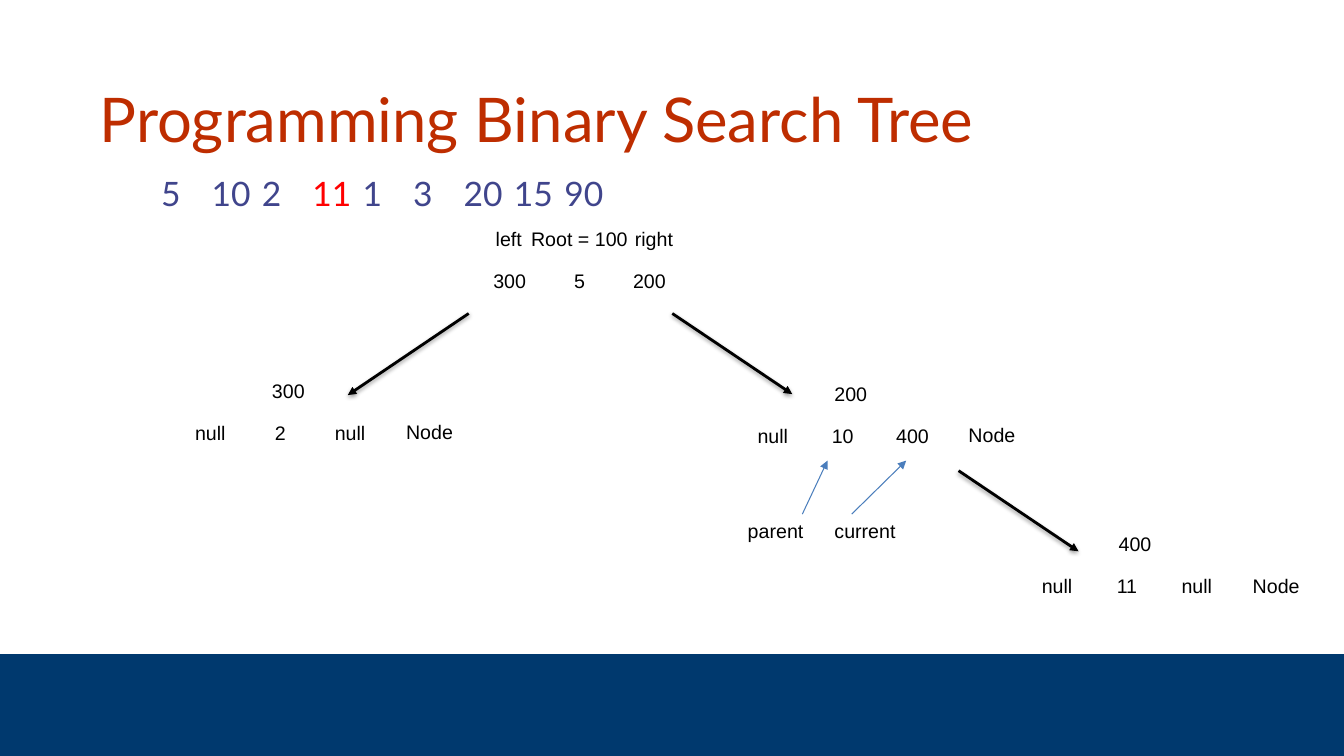
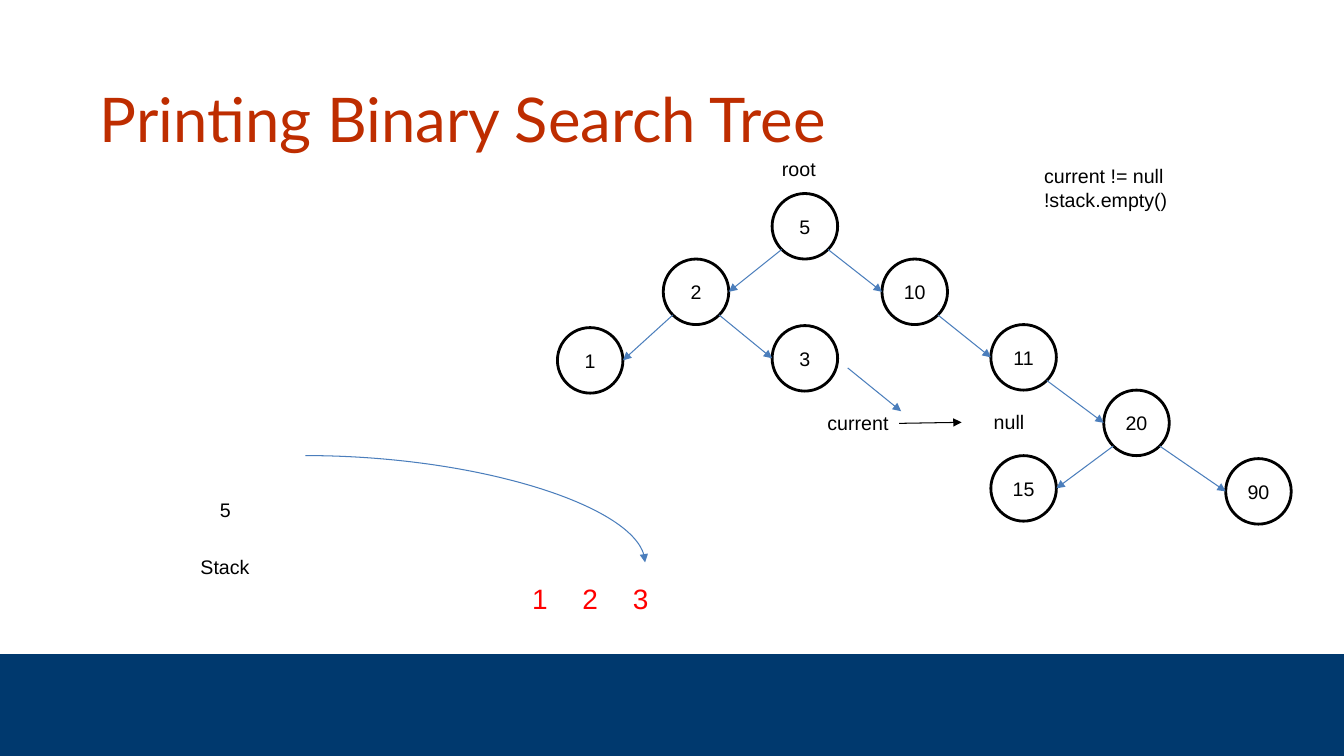
import dataclasses
import math

import lxml.etree
import pptx
import pptx.dml.color
import pptx.enum.shapes
import pptx.enum.text
import pptx.oxml
import pptx.oxml.ns
import pptx.shapes.autoshape
import pptx.shapes.connector
import pptx.slide
import pptx.text.text
import pptx.util

RGB = pptx.dml.color.RGBColor
Anchor = pptx.enum.text.MSO_ANCHOR
Align = pptx.enum.text.PP_ALIGN
Connector = pptx.enum.shapes.MSO_CONNECTOR
Preset = pptx.enum.shapes.MSO_SHAPE
Point = tuple[float, float]

GRID_COLUMNS, GRID_ROWS = 40, 22.5
SLIDE_WIDTH, SLIDE_HEIGHT = pptx.util.Emu(12192000), pptx.util.Emu(6858000)
BAND_TOP = 19.47

WHITE = RGB(0xFF, 0xFF, 0xFF)
BLACK = RGB(0x00, 0x00, 0x00)
RED = RGB(0xFF, 0x00, 0x00)
NAVY = RGB(0x00, 0x39, 0x6E)
RUST = RGB(0xBE, 0x2D, 0x00)
INDIGO = RGB(0x40, 0x45, 0x8C)
BLUE = RGB(0x4B, 0x7E, 0xBC)

HEADING_FONT, BODY_FONT = "Lato", "Arial"
BODY_SIZE = 14
THIN, THICK = 0.75, 2
CIRCLE = 1.95
CELL_WIDTH, CELL_HEIGHT = 2.08, 1.04


@dataclasses.dataclass(frozen=True)
class Label:
    text: str
    column: float
    row: float
    columns: float
    rows: float = 1.02
    size: float = BODY_SIZE
    color: RGB = BLACK


@dataclasses.dataclass(frozen=True)
class Arrow:
    start: Point
    end: Point
    color: RGB = BLUE
    weight: float = THIN
    shadow: bool = False
    curved: bool = False


@dataclasses.dataclass(frozen=True)
class Record:
    address: str
    column: float
    row: float
    fields: tuple[str, str, str]


@dataclasses.dataclass(frozen=True)
class TreeNode:
    value: int
    column: float
    row: float
    parent: int | None = None

    @property
    def center(self) -> Point:
        return self.column + CIRCLE / 2, self.row + CIRCLE / 2


SEQUENCE = (("\t5\t10\t2\t", INDIGO), ("11", RED), ("\t1\t3\t20\t15\t90", INDIGO))

RECORDS = (
    Record("300", 5.22, 12.39, ("null", "2", "null")),
    Record("200", 21.96, 12.48, ("null", "10", "400")),
    Record("400", 30.42, 16.95, ("null", "11", "null")),
)

INSERT_LABELS = (
    Label("left", 14.46, 6.6, 1.38),
    Label("Root = 100", 15.51, 6.6, 3.48),
    Label("right", 18.6, 6.6, 1.74),
    Label("parent", 21.96, 15.3, 2.28),
    Label("current", 24.54, 15.3, 2.43),
)

INSERT_ARROWS = (
    Arrow((23.88, 15.3), (24.63, 13.71)),
    Arrow((25.35, 15.3), (26.97, 13.71)),
    Arrow((20.01, 9.33), (23.58, 11.73), BLACK, THICK, shadow=True),
    Arrow((13.95, 9.33), (10.35, 11.76), BLACK, THICK, shadow=True),
    Arrow((28.53, 14.01), (32.1, 16.41), BLACK, THICK, shadow=True),
)

TREE = (
    TreeNode(5, 22.98, 5.76),
    TreeNode(10, 26.25, 7.71, 5),
    TreeNode(2, 19.74, 7.71, 5),
    TreeNode(11, 29.49, 9.66, 10),
    TreeNode(1, 16.59, 9.75, 2),
    TreeNode(3, 22.98, 9.69, 2),
    TreeNode(20, 32.85, 11.61, 11),
    TreeNode(15, 29.49, 13.56, 20),
    TreeNode(90, 36.48, 13.65, 20),
)

PRINT_LABELS = (
    Label("Stack", 5.67, 16.38, 2.07),
    Label("root", 22.98, 4.53, 1.62),
    Label("current != null\n!stack.empty()", 30.78, 4.74, 4.29, 1.71),
    Label("1\t2\t3", 15.54, 17.16, 7.14, 1.32, 20, RED),
    Label("null", 29.28, 12.06, 1.53),
)
CURRENT = Label("current", 24.33, 12.09, 2.43)
CURRENT_TO_NULL = Arrow((26.76, 12.6), (28.62, 12.57), BLACK)

PRINT_ARROWS = (
    Arrow((9.09, 13.56), (19.2, 16.74), curved=True),
    Arrow((25.23, 10.95), (26.82, 12.24)),
)


def across(columns: float) -> pptx.util.Emu:
    return pptx.util.Emu(round(SLIDE_WIDTH * columns / GRID_COLUMNS))


def down(rows: float) -> pptx.util.Emu:
    return pptx.util.Emu(round(SLIDE_HEIGHT * rows / GRID_ROWS))


def box(column: float, row: float, columns: float, rows: float) -> tuple:
    return across(column), down(row), across(columns), down(rows)


def style_run(run: pptx.text.text._Run, size: float, color: RGB, font: str) -> None:
    run.font.size = pptx.util.Pt(size)
    run.font.name = font
    run.font.color.rgb = color


def write(frame: pptx.text.text.TextFrame, text: str, size: float = BODY_SIZE,
          color: RGB = BLACK, font: str = BODY_FONT, align: Align = Align.LEFT) -> None:
    frame.text = text
    for paragraph in frame.paragraphs:
        paragraph.alignment = align
        for run in paragraph.runs:
            style_run(run, size, color, font)


def start_slide(deck: pptx.presentation.Presentation, heading: str) -> pptx.slide.Slide:
    slide = deck.slides.add_slide(deck.slide_layouts[6])
    band = slide.shapes.add_shape(
        Preset.RECTANGLE, *box(0, BAND_TOP, GRID_COLUMNS, GRID_ROWS - BAND_TOP))
    band.shadow.inherit = False
    band.fill.solid()
    band.fill.fore_color.rgb = NAVY
    band.line.fill.background()
    title = slide.shapes.add_textbox(*box(2.67, 1, 34, 3.75)).text_frame
    title.word_wrap = True
    title.vertical_anchor = Anchor.BOTTOM
    write(title, heading, 44, RUST, HEADING_FONT)
    return slide


def draw_label(slide: pptx.slide.Slide, label: Label) -> pptx.shapes.autoshape.Shape:
    shape = slide.shapes.add_textbox(
        *box(label.column, label.row, label.columns, label.rows))
    shape.text_frame.word_wrap = False
    shape.text_frame.auto_size = pptx.enum.text.MSO_AUTO_SIZE.SHAPE_TO_FIT_TEXT
    write(shape.text_frame, label.text, label.size, label.color)
    return shape


def draw_arrow(slide: pptx.slide.Slide, arrow: Arrow) -> pptx.shapes.connector.Connector:
    connector = slide.shapes.add_connector(
        Connector.CURVE if arrow.curved else Connector.STRAIGHT,
        across(arrow.start[0]), down(arrow.start[1]),
        across(arrow.end[0]), down(arrow.end[1]))
    connector.line.color.rgb = arrow.color
    connector.line.width = pptx.util.Pt(arrow.weight)
    qn = pptx.oxml.ns.qn
    lxml.etree.SubElement(connector.line._get_or_add_ln(), qn("a:tailEnd"), type="triangle")
    properties = connector._element.spPr
    if arrow.curved:
        properties.find(qn("a:prstGeom")).set("prst", "curvedConnector2")
    effects = lxml.etree.SubElement(properties, qn("a:effectLst"))
    if arrow.shadow:
        shadow = lxml.etree.SubElement(
            effects, qn("a:outerShdw"), blurRad="40000", dist="20000",
            dir="5400000", rotWithShape="0")
        tint = lxml.etree.SubElement(shadow, qn("a:srgbClr"), val=str(BLACK))
        lxml.etree.SubElement(tint, qn("a:alpha"), val="38000")
    return connector


def draw_table(slide: pptx.slide.Slide, column: float, row: float,
               cell_width: float, cell_height: float, rows: list[tuple[str, ...]]) -> None:
    count = len(rows[0])
    table = slide.shapes.add_table(
        len(rows), count,
        *box(column, row, cell_width * count, cell_height * len(rows))).table
    table.first_row = False
    table.horz_banding = False
    for r, texts in enumerate(rows):
        for c, text in enumerate(texts):
            cell = table.cell(r, c)
            cell.fill.background()
            cell.vertical_anchor = Anchor.MIDDLE
            write(cell.text_frame, text, align=Align.CENTER)


def draw_record(slide: pptx.slide.Slide, record: Record) -> None:
    draw_table(slide, record.column, record.row, CELL_WIDTH, CELL_HEIGHT, [record.fields])
    draw_label(slide, Label(record.address, record.column + 2.58, record.row - 1.26, 1.59))
    draw_label(slide, Label("Node", record.column + 6.57, record.row - 0.03, 2.01))


def draw_node(slide: pptx.slide.Slide, node: TreeNode) -> None:
    circle = slide.shapes.add_shape(
        Preset.OVAL, *box(node.column, node.row, CIRCLE, CIRCLE))
    circle.shadow.inherit = False
    circle.fill.solid()
    circle.fill.fore_color.rgb = WHITE
    circle.line.color.rgb = BLACK
    circle.line.width = pptx.util.Pt(THICK)
    frame = circle.text_frame
    frame.word_wrap = False
    frame.vertical_anchor = Anchor.MIDDLE
    write(frame, str(node.value), align=Align.CENTER)


def branch(parent: TreeNode, child: TreeNode) -> Arrow:
    (parent_x, parent_y), (child_x, child_y) = parent.center, child.center
    side = math.copysign(1, child_x - parent_x)
    radius = CIRCLE / 2
    diagonal = radius * math.sqrt(0.5)
    return Arrow((parent_x + side * diagonal, parent_y + diagonal),
                 (child_x - side * radius, child_y))


def build_insertion(deck: pptx.presentation.Presentation) -> None:
    slide = start_slide(deck, "Programming Binary Search Tree")
    sequence = slide.shapes.add_textbox(*box(3, 5, 34.86, 12.48)).text_frame
    sequence.word_wrap = True
    for text, color in SEQUENCE:
        run = sequence.paragraphs[0].add_run()
        run.text = text
        style_run(run, 24, color, HEADING_FONT)
    draw_table(slide, 14.13, 7.86, CELL_WIDTH, CELL_HEIGHT, [("300", "5", "200")])
    for record in RECORDS:
        draw_record(slide, record)
    for label in INSERT_LABELS:
        draw_label(slide, label)
    for arrow in INSERT_ARROWS:
        draw_arrow(slide, arrow)


def build_printing(deck: pptx.presentation.Presentation) -> None:
    slide = start_slide(deck, "Printing Binary Search Tree")
    nodes = {node.value: node for node in TREE}
    for node in TREE:
        draw_node(slide, node)
    for node in TREE:
        if node.parent is not None:
            draw_arrow(slide, branch(nodes[node.parent], node))
    draw_table(slide, 3.63, 7.35, 6.15, 1.43, [("",)] * 5 + [("5",)])
    for label in PRINT_LABELS:
        draw_label(slide, label)
    current = draw_label(slide, CURRENT)
    draw_arrow(slide, CURRENT_TO_NULL).begin_connect(current, 3)
    for arrow in PRINT_ARROWS:
        draw_arrow(slide, arrow)


def main() -> None:
    deck = pptx.Presentation()
    deck.slide_width, deck.slide_height = SLIDE_WIDTH, SLIDE_HEIGHT
    build_insertion(deck)
    build_printing(deck)
    deck.save("out.pptx")


if __name__ == "__main__":
    main()
